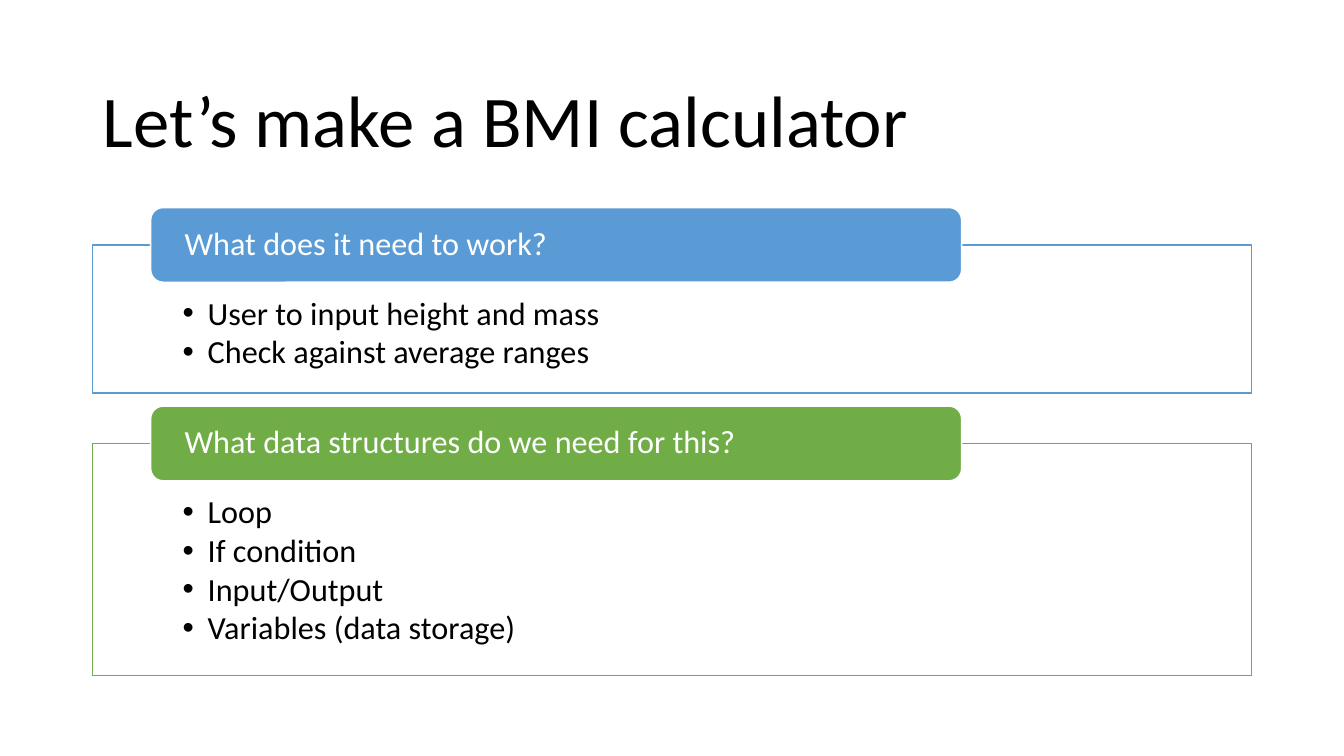
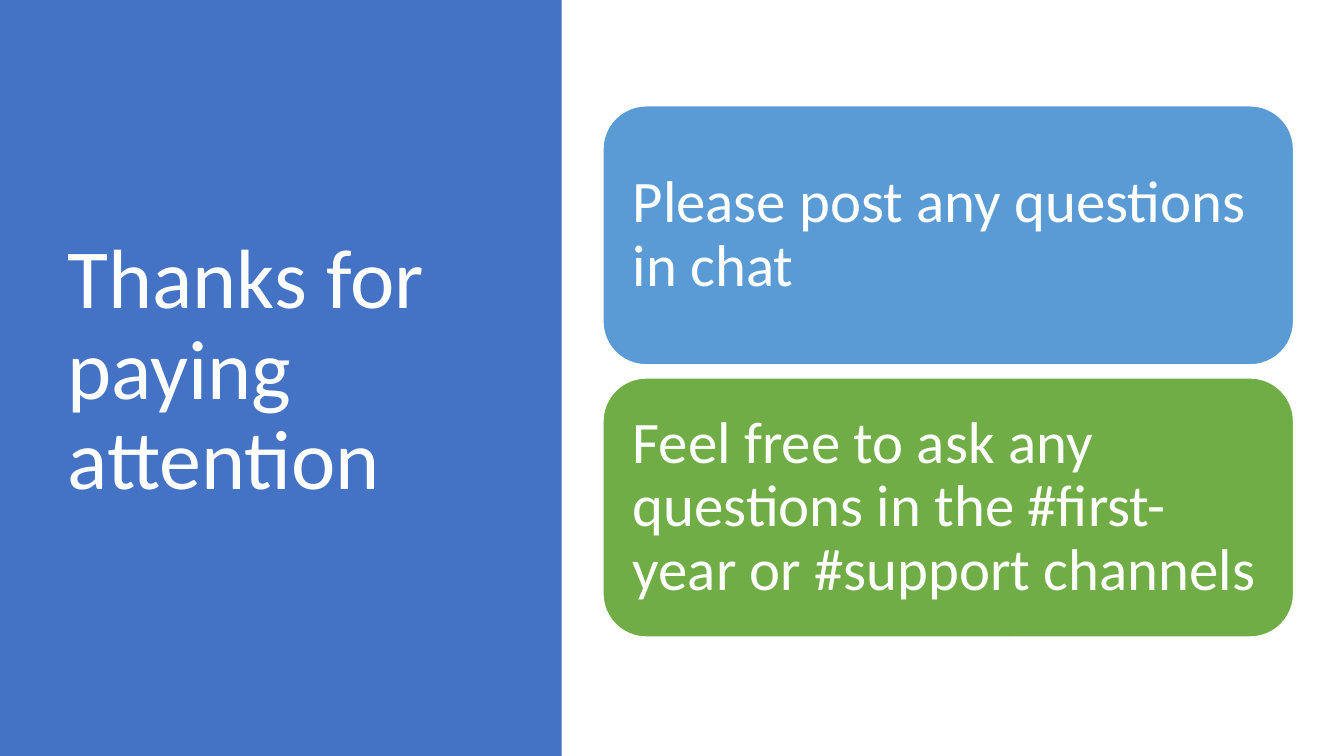
"""Build the BMI calculator brief and the closing slide."""
from dataclasses import dataclass

from pptx import Presentation
from pptx.dml.color import RGBColor
from pptx.enum.shapes import MSO_SHAPE
from pptx.enum.text import MSO_ANCHOR, MSO_AUTO_SIZE, PP_ALIGN
from pptx.oxml.ns import qn
from pptx.util import Inches, Pt

RECTANGLE, ROUNDED = MSO_SHAPE.RECTANGLE, MSO_SHAPE.ROUNDED_RECTANGLE
TOP, MIDDLE = MSO_ANCHOR.TOP, MSO_ANCHOR.MIDDLE
LEFT, NO_FIT = PP_ALIGN.LEFT, MSO_AUTO_SIZE.NONE


@dataclass(frozen=True)
class Theme:
    """Fonts, type sizes and colours of the deck."""
    font: str = "Calibri"
    title: int = 52
    closing: int = 60
    card: int = 42
    list: int = 23
    line_spacing: float = 0.9
    list_gap: float = 2.8
    ink: str = "000000"
    paper: str = "FFFFFF"
    panel: str = "4472C4"
    accents: tuple = ("5B9BD5", "70AD47")


THEME = Theme()
WIDTH, HEIGHT = 13.33, 7.5
MARGIN = 0.92
GAP = 0.13

BRIEF_TITLE = "Let’s make a BMI calculator"
SECTIONS = [
    ("What does it need to work?",
     ["User to input height and mass", "Check against average ranges"]),
    ("What data structures do we need for this?",
     ["Loop", "If condition", "Input/Output", "Variables (data storage)"]),
]
CLOSING_TITLE = "Thanks for paying attention"
CARDS = [
    "Please post any questions in chat",
    "Feel free to ask any questions in the #first-year or #support channels",
]


def color(value):
    """Turn a hex string into a colour."""
    return RGBColor.from_string(value)


def place(shape, left, top, width, height):
    """Move and size a shape, in inches."""
    shape.left, shape.top = Inches(left), Inches(top)
    shape.width, shape.height = Inches(width), Inches(height)


def paint(shape, fill, line):
    """Give a shape a solid fill and a thin outline."""
    shape.fill.solid()
    shape.fill.fore_color.rgb = color(fill)
    shape.line.color.rgb = color(line)
    shape.line.width = Pt(1)


def add_bullet(paragraph):
    """Give a paragraph a hanging round bullet."""
    properties = paragraph._p.get_or_add_pPr()
    properties.set("marL", str(Inches(0.25)))
    properties.set("indent", str(-Inches(0.25)))
    bullet = properties.makeelement(qn("a:buChar"), {"char": "•"})
    properties.append(bullet)


def write(shape, lines, size, ink, anchor=MIDDLE, insets=(0.1, 0.05, 0.1, 0.05), bulleted=False):
    """Fill a shape with left-aligned paragraphs."""
    frame = shape.text_frame
    frame.word_wrap, frame.auto_size = True, NO_FIT
    frame.vertical_anchor = anchor
    frame.margin_left, frame.margin_top, frame.margin_right, frame.margin_bottom = map(Inches, insets)
    for index, line in enumerate(lines):
        paragraph = frame.add_paragraph() if index else frame.paragraphs[0]
        if bulleted:
            add_bullet(paragraph)
        paragraph.alignment = LEFT
        paragraph.line_spacing = THEME.line_spacing
        paragraph.space_before = Pt(0)
        paragraph.space_after = Pt(THEME.list_gap if bulleted else 0)
        run = paragraph.add_run()
        run.text = line
        run.font.name, run.font.size = THEME.font, Pt(size)
        run.font.color.rgb = color(ink)


def add_title(slide, text, box, size, ink):
    """Place and write the title placeholder."""
    place(slide.shapes.title, *box)
    write(slide.shapes.title, [text], size, ink)


def add_block(slide, kind, box, fill, line):
    """Add a flat filled shape."""
    shape = slide.shapes.add_shape(kind, *map(Inches, box))
    shape.shadow.inherit = False
    paint(shape, fill, line)
    return shape


def build_brief(presentation):
    """Add the slide with two headed lists."""
    slide = presentation.slides.add_slide(presentation.slide_layouts[3])
    content_width = WIDTH - 2 * MARGIN
    add_title(slide, BRIEF_TITLE, (MARGIN, 0.61, content_width, 1.24), THEME.title, THEME.ink)
    tab_height, padding, row = 0.74, 0.64, 0.415
    tab_left, tab_width = MARGIN + 0.05 * content_width, 0.7 * content_width
    tab_top = 2.06
    for index, ((heading, items), accent) in enumerate(zip(SECTIONS, THEME.accents), start=1):
        frame_top = tab_top + tab_height / 2
        frame_height = padding + row * len(items)
        frame = slide.placeholders[index]
        place(frame, MARGIN, frame_top, content_width, frame_height)
        paint(frame, THEME.paper, accent)
        write(frame, items, THEME.list, THEME.ink, TOP, (0.89, 0.52, 0.89, 0.18), bulleted=True)
        tab = add_block(slide, ROUNDED, (tab_left, tab_top, tab_width, tab_height), accent, THEME.paper)
        write(tab, [heading], THEME.list, THEME.paper, insets=(0.3, 0, 0.3, 0))
        tab_top = frame_top + frame_height + GAP


def build_closing(presentation):
    """Add the closing slide with a side panel and cards."""
    slide = presentation.slides.add_slide(presentation.slide_layouts[5])
    panel = add_block(slide, RECTANGLE, (0, 0, 5.57, HEIGHT), THEME.panel, THEME.panel)
    panel.line.fill.background()
    slide.shapes.title._element.addprevious(panel._element)
    add_title(slide, CLOSING_TITLE, (0.57, 0.68, 4.16, 6.02), THEME.closing, THEME.paper)
    card_height = 2.57
    for index, (text, accent) in enumerate(zip(CARDS, THEME.accents)):
        top = 1.05 + index * (card_height + GAP)
        card = add_block(slide, ROUNDED, (5.98, top, 6.85, card_height), accent, THEME.paper)
        write(card, [text], THEME.card, THEME.paper, insets=(0.17,) * 4)


def main():
    """Build and save the deck."""
    presentation = Presentation()
    presentation.slide_width, presentation.slide_height = Inches(WIDTH), Inches(HEIGHT)
    build_brief(presentation)
    build_closing(presentation)
    presentation.save("out.pptx")


if __name__ == "__main__":
    main()
